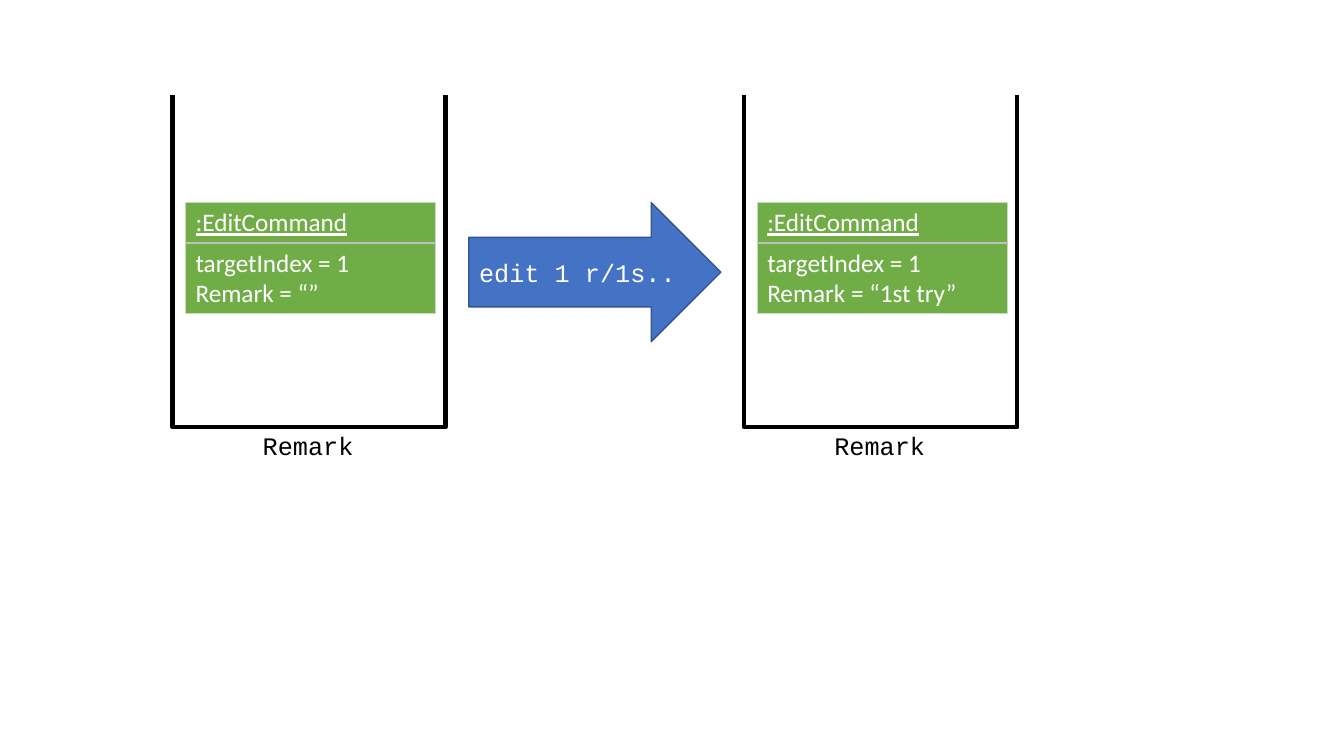
from lxml.etree import SubElement
from pptx import Presentation
from pptx.dml.color import RGBColor
from pptx.enum.shapes import MSO_SHAPE
from pptx.enum.text import MSO_ANCHOR, MSO_AUTO_SIZE, PP_ALIGN
from pptx.oxml.ns import qn
from pptx.util import Inches, Pt

COMMAND_TITLE = ":EditCommand"
STACKS = [
    {"left": 1.71, "label": "Remark", "fields": ["targetIndex = 1", "Remark = “”"]},
    {"left": 7.38, "label": "Remark", "fields": ["targetIndex = 1", "Remark = “1st try”"]},
]
TRANSITION = "edit 1 r/1s.."

STACK_TOP, STACK_WIDTH, STACK_HEIGHT = 0.68, 2.71, 3.56
COMMAND_TOP, COMMAND_WIDTH = 2.01, 2.48
ROW_HEIGHTS = [0.4, 0.7]
WHITE, BLACK, GREEN, BLUE, NAVY = "FFFFFF", "000000", "70AD47", "4472C4", "325491"
EDGE, DIVIDER = ("C9DBC1", 0.5), ("BFBFBF", 1)


def rgb(color):
    return RGBColor.from_string(color)


def add_block(shapes, kind, box, fill, line, weight):
    block = shapes.add_shape(kind, *map(Inches, box))
    block.shadow.inherit = False
    block.fill.solid()
    block.fill.fore_color.rgb = rgb(fill)
    block.line.color.rgb = rgb(line)
    block.line.width = Pt(weight)
    return block


def write(frame, text, font, color, align=PP_ALIGN.LEFT, underline=False):
    frame.text = text
    for paragraph in frame.paragraphs:
        paragraph.alignment = align
        for run in paragraph.runs:
            run.font.name = font
            run.font.size = Pt(18)
            run.font.color.rgb = rgb(color)
            run.font.underline = underline


def set_borders(cell, top, bottom):
    properties = cell._tc.get_or_add_tcPr()
    for side, (color, weight) in zip("LRTB", (EDGE, EDGE, top, bottom)):
        border = SubElement(properties, qn(f"a:ln{side}"), w=str(Pt(weight)))
        fill = SubElement(border, qn("a:solidFill"))
        SubElement(fill, qn("a:srgbClr"), val=color)


def add_command(slide, left, fields):
    command = slide.shapes.add_table(
        2, 1, Inches(left), Inches(COMMAND_TOP),
        Inches(COMMAND_WIDTH), Inches(sum(ROW_HEIGHTS))).table
    rows = [(COMMAND_TITLE, EDGE, DIVIDER, True),
            ("\n".join(fields), DIVIDER, EDGE, False)]
    for index, (text, top, bottom, underline) in enumerate(rows):
        command.rows[index].height = Inches(ROW_HEIGHTS[index])
        cell = command.cell(index, 0)
        set_borders(cell, top, bottom)
        cell.fill.solid()
        cell.fill.fore_color.rgb = rgb(GREEN)
        write(cell.text_frame, text, "Calibri", WHITE, underline=underline)


def add_stack(slide, left, label, fields):
    container = slide.shapes.add_group_shape().shapes
    add_block(container, MSO_SHAPE.RECTANGLE,
              (left, STACK_TOP, STACK_WIDTH, STACK_HEIGHT), WHITE, BLACK, 3)
    add_block(container, MSO_SHAPE.RECTANGLE,
              (left - 0.23, 0.51, 3.11, 0.43), WHITE, WHITE, 1)
    caption = slide.shapes.add_textbox(
        Inches(left), Inches(4.22), Inches(2.69), Inches(0.4)).text_frame
    caption.word_wrap = True
    caption.auto_size = MSO_AUTO_SIZE.SHAPE_TO_FIT_TEXT
    write(caption, label, "Courier New", BLACK, PP_ALIGN.CENTER)
    add_command(slide, left + 0.13, fields)


def main():
    deck = Presentation()
    deck.slide_width, deck.slide_height = Inches(13.33), Inches(7.5)
    slide = deck.slides.add_slide(deck.slide_layouts[6])
    for stack in STACKS:
        add_stack(slide, **stack)
    transition = add_block(slide.shapes, MSO_SHAPE.RIGHT_ARROW,
                           (4.65, COMMAND_TOP, 2.5, 1.38), BLUE, NAVY, 1)
    transition.text_frame.vertical_anchor = MSO_ANCHOR.MIDDLE
    transition.text_frame.word_wrap = False
    write(transition.text_frame, TRANSITION, "Courier New", WHITE, PP_ALIGN.CENTER)
    deck.save("out.pptx")


if __name__ == "__main__":
    main()
